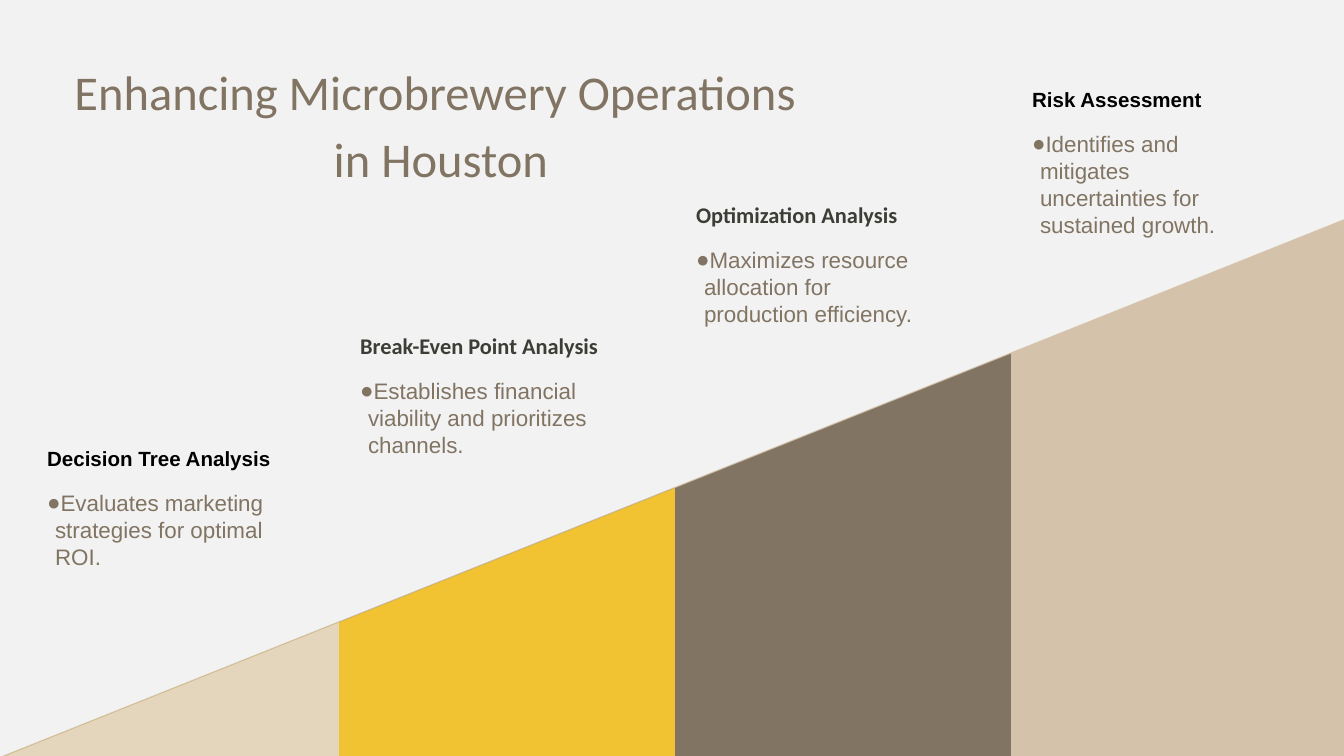
import pptx
import pptx.dml.color
import pptx.enum.shapes
import pptx.enum.text
import pptx.oxml
import pptx.oxml.ns
import pptx.util

RGBColor = pptx.dml.color.RGBColor
BACKGROUND = RGBColor(0xF2, 0xF2, 0xF2)
TAN = RGBColor(0xD4, 0xC2, 0xAB)
TAUPE = RGBColor(0x81, 0x74, 0x63)
GOLD = RGBColor(0xF1, 0xC2, 0x32)
SAND = RGBColor(0xE3, 0xD6, 0xBC)
BLACK = RGBColor(0x00, 0x00, 0x00)
CHARCOAL = RGBColor(0x3C, 0x3D, 0x36)

SLIDE_WIDTH, SLIDE_HEIGHT = 1344, 756
EMU_PER_PX = 9144000 / SLIDE_WIDTH
PADDING = 13
STEP_WIDTH = 336
STEP_RISE = 134.4
COMPARISON_LAYOUT = 4  # a title and four body placeholders

ARIAL_HEADING = dict(font="Arial", size=11, color=BLACK)
CALIBRI_HEADING = dict(font="Calibri", size=12, color=CHARCOAL)


def px(length):
    return pptx.util.Emu(round(length * EMU_PER_PX))


def write(paragraph, text, font="Arial", size=12, color=TAUPE, bold=False,
          align=pptx.enum.text.PP_ALIGN.LEFT, line_spacing=1.0, space_before=0):
    paragraph.alignment = align
    paragraph.line_spacing = line_spacing
    paragraph.space_before = pptx.util.Pt(space_before)
    run = paragraph.add_run()
    run.text = text
    run.font.name = font
    run.font.size = pptx.util.Pt(size)
    run.font.bold = bold
    run.font.color.rgb = color


def set_bullet(paragraph, character=None, color=TAUPE, margin=0, indent=0):
    """Give the paragraph a bullet, or remove the inherited one."""
    properties = paragraph._p.get_or_add_pPr()
    properties.set("marL", str(px(margin)))
    properties.set("indent", str(px(indent)))
    namespace = pptx.oxml.ns.nsdecls("a")
    if character is None:
        elements = [f"<a:buNone {namespace}/>"]
    else:
        elements = [
            f'<a:buClr {namespace}><a:srgbClr val="{color}"/></a:buClr>',
            f'<a:buFont {namespace} typeface="Arial"/>',
            f'<a:buChar {namespace} char="{character}"/>',
        ]
    for element in elements:
        properties.append(pptx.oxml.parse_xml(element))


class StaircaseSlide:
    """Holds the style and the current slide."""

    def __init__(self, presentation):
        layout = presentation.slide_layouts[COMPARISON_LAYOUT]
        self.slide = presentation.slides.add_slide(layout)
        self.slide.background.fill.solid()
        self.slide.background.fill.fore_color.rgb = BACKGROUND

    def place(self, placeholder, left, top, width, height):
        """Move a placeholder and return its cleanly formatted text frame."""
        placeholder.left, placeholder.top = px(left), px(top)
        placeholder.width, placeholder.height = px(width), px(height)
        frame = placeholder.text_frame
        frame.word_wrap = True
        frame.auto_size = pptx.enum.text.MSO_AUTO_SIZE.NONE
        frame.vertical_anchor = pptx.enum.text.MSO_ANCHOR.TOP
        frame.margin_left = frame.margin_right = px(PADDING)
        frame.margin_top = frame.margin_bottom = px(PADDING)
        return frame

    def add_title(self, lines, left, top, width, height):
        frame = self.place(self.slide.shapes.title, left, top, width, height)
        for number, line in enumerate(lines):
            paragraph = frame.add_paragraph() if number else frame.paragraphs[0]
            write(paragraph, line, font="Calibri", size=26, line_spacing=1.15,
                  align=pptx.enum.text.PP_ALIGN.CENTER)

    def add_slope(self, steps, left, color):
        """Draw a right triangle rising over the given number of steps, behind the text."""
        height = steps * STEP_RISE
        slope = self.slide.shapes.add_shape(
            pptx.enum.shapes.MSO_SHAPE.ISOSCELES_TRIANGLE,
            px(left), px(SLIDE_HEIGHT + 1 - height), px(steps * STEP_WIDTH), px(height))
        slope.adjustments[0] = 1
        slope.shadow.inherit = False
        slope.fill.solid()
        slope.fill.fore_color.rgb = color
        slope.line.fill.background()
        self.slide.shapes.title._element.addprevious(slope._element)

    def add_analysis(self, index, heading, benefit, heading_style, left, top, width):
        frame = self.place(self.slide.placeholders[index], left, top, width, 245)
        heading_paragraph = frame.paragraphs[0]
        set_bullet(heading_paragraph)
        write(heading_paragraph, heading, bold=True, **heading_style)
        benefit_paragraph = frame.add_paragraph()
        set_bullet(benefit_paragraph, "●", margin=8, indent=-20)
        write(benefit_paragraph, benefit, space_before=10)


def main():
    presentation = pptx.Presentation()
    presentation.slide_width = px(SLIDE_WIDTH)
    presentation.slide_height = px(SLIDE_HEIGHT)
    staircase = StaircaseSlide(presentation)

    for steps, left, color in [(4, 0, TAN), (3, 3, TAUPE), (2, 3, GOLD), (1, 3, SAND)]:
        staircase.add_slope(steps, left, color)

    staircase.add_title(["Enhancing Microbrewery Operations ", "in Houston"],
                        0, 40, 882, 133)

    analyses = [
        ("Decision Tree Analysis", "Evaluates marketing strategies for optimal ROI.",
         ARIAL_HEADING, 34, 433, 262),
        ("Break-Even Point Analysis",
         "Establishes financial viability and prioritizes channels.",
         CALIBRI_HEADING, 347, 319, 286),
        ("Optimization Analysis",
         "Maximizes resource allocation for production efficiency.",
         CALIBRI_HEADING, 683, 188, 262),
        ("Risk Assessment",
         "Identifies and mitigates uncertainties for sustained growth.",
         ARIAL_HEADING, 1019, 74, 245),
    ]
    for index, analysis in enumerate(analyses, start=1):
        staircase.add_analysis(index, *analysis)

    presentation.save("out.pptx")


if __name__ == "__main__":
    main()
